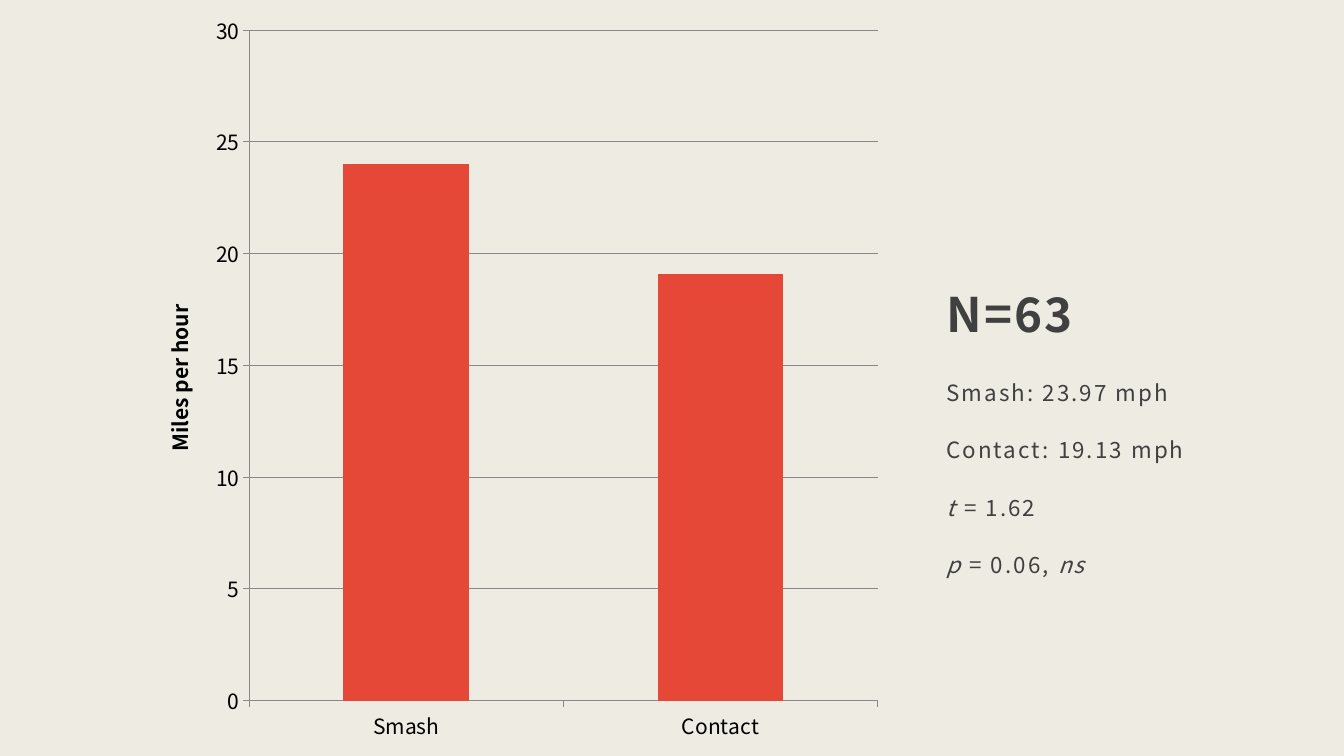
from lxml import etree
from pptx import Presentation
from pptx.chart.data import CategoryChartData
from pptx.dml.color import RGBColor
from pptx.enum import chart as charts, text
from pptx.oxml import parse_xml
from pptx.oxml.ns import nsdecls, qn
from pptx.util import Cm, Pt

FONT = "Noto Sans CJK JP"
CREAM = RGBColor(0xEE, 0xEB, 0xE2)
RED = RGBColor(0xE5, 0x48, 0x37)
CHARCOAL = RGBColor(0x40, 0x40, 0x40)
GREY = RGBColor(0x88, 0x88, 0x88)
BLACK = RGBColor(0, 0, 0)

SPEEDS = {"Smash": 24, "Contact": 19.1}
# Each result is a list of (wording, italic) pieces.
RESULTS = [
    [("Smash: 23.97 mph", False)],
    [("Contact: 19.13 mph", False)],
    [("t ", True), ("= 1.62", False)],
    [("p ", True), ("= 0.06, ", False), ("ns", True)],
]


def style_font(font, size, color, bold=False):
    font.name = FONT
    font.size = Pt(size)
    font.bold = bold
    font.color.rgb = color


def place(holder, top, height, anchor):
    """Move a placeholder into the right-hand column."""
    holder.left, holder.top = Cm(23.55), Cm(top)
    holder.width, holder.height = Cm(8.97), Cm(height)
    frame = holder.text_frame
    frame.word_wrap = True
    frame.auto_size = text.MSO_AUTO_SIZE.NONE
    frame.vertical_anchor = anchor
    frame.margin_left = frame.margin_right = frame.margin_top = Cm(0.3)
    frame.margin_bottom = Cm(0.25)
    return frame


def write_line(paragraph, pieces, size, line_height, bold=False):
    paragraph.alignment = text.PP_ALIGN.LEFT
    paragraph.line_spacing = Pt(line_height)
    for wording, italic in pieces:
        run = paragraph.add_run()
        run.text = wording
        style_font(run.font, size, CHARCOAL, bold)
        run.font.italic = italic
        run._r.get_or_add_rPr().set("spc", "150")


def write_results(frame):
    for index, pieces in enumerate(RESULTS):
        paragraph = frame.add_paragraph() if index else frame.paragraphs[0]
        properties = paragraph._p.get_or_add_pPr()
        properties.set("marL", "0")
        properties.set("indent", "0")
        etree.SubElement(properties, qn("a:buNone"))
        paragraph.space_before = Pt(14 if index else 0)
        write_line(paragraph, pieces, 16, 27)


def set_plot_area(chart, x, y, w, h):
    """Fix the inner plot area, in fractions of the chart."""
    plot_area = chart._chartSpace.chart.plotArea
    for layout in plot_area.findall(qn("c:layout")):
        plot_area.remove(layout)
    plot_area.insert(0, parse_xml(
        f'<c:layout {nsdecls("c")}><c:manualLayout>'
        '<c:layoutTarget val="inner"/>'
        '<c:xMode val="edge"/><c:yMode val="edge"/>'
        f'<c:x val="{x}"/><c:y val="{y}"/><c:w val="{w}"/><c:h val="{h}"/>'
        '</c:manualLayout></c:layout>'))


def style_axis(axis):
    axis.major_tick_mark = charts.XL_TICK_MARK.OUTSIDE
    axis.minor_tick_mark = charts.XL_TICK_MARK.NONE
    axis.format.line.color.rgb = GREY
    axis.format.line.width = Pt(0.75)
    style_font(axis.tick_labels.font, 15, BLACK)


def add_speed_chart(slide):
    data = CategoryChartData()
    data.categories = list(SPEEDS)
    data.add_series("Series 1", list(SPEEDS.values()))
    chart = slide.shapes.add_chart(
        charts.XL_CHART_TYPE.COLUMN_CLUSTERED,
        Cm(3.53), Cm(0), Cm(18.97), Cm(19.05), data).chart
    chart.has_legend = chart.has_title = False
    style_font(chart.font, 10, BLACK)

    bars = chart.plots[0]
    bars.gap_width = 150
    bars.vary_by_categories = False
    bars.series[0].format.fill.solid()
    bars.series[0].format.fill.fore_color.rgb = RED

    speed = chart.value_axis
    for axis in (chart.category_axis, speed):
        style_axis(axis)
    speed.minimum_scale, speed.maximum_scale, speed.major_unit = 0, 30, 5
    speed.has_major_gridlines = True
    speed.major_gridlines.format.line.color.rgb = GREY
    speed.major_gridlines.format.line.width = Pt(0.75)
    speed.axis_title.text_frame.text = "Miles per hour"
    title_run = speed.axis_title.text_frame.paragraphs[0].runs[0]
    style_font(title_run.font, 15, BLACK, bold=True)
    set_plot_area(chart, 0.145, 0.04, 0.835, 0.887)


def main():
    deck = Presentation()
    deck.slide_width, deck.slide_height = Cm(33.87), Cm(19.05)
    slide = deck.slides.add_slide(deck.slide_layouts[1])
    slide.background.fill.solid()
    slide.background.fill.fore_color.rgb = CREAM

    add_speed_chart(slide)
    sample = place(slide.shapes.title, 4.17, 4.7, text.MSO_ANCHOR.BOTTOM)
    write_line(sample.paragraphs[0], [("N=63", False)], 34, 42.4, bold=True)
    write_results(place(slide.placeholders[1], 8.97, 7.98, text.MSO_ANCHOR.TOP))
    deck.save("out.pptx")


if __name__ == "__main__":
    main()
